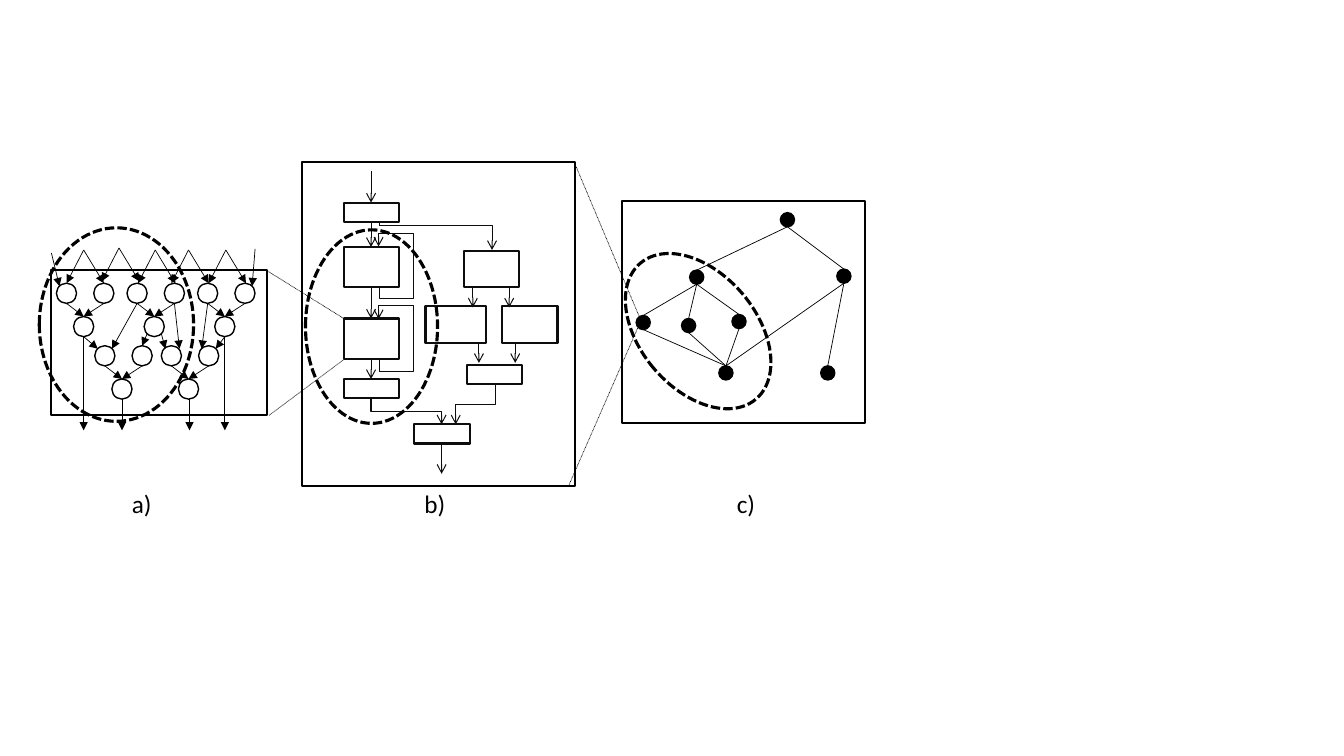
from lxml.etree import SubElement
from pptx import Presentation
from pptx.dml.color import RGBColor
from pptx.enum.dml import MSO_LINE as Dash
from pptx.enum.shapes import MSO_CONNECTOR as Link, MSO_SHAPE as Form
from pptx.enum.text import MSO_AUTO_SIZE as Fit
from pptx.oxml.ns import qn
from pptx.util import Cm, Pt

BLACK, DARK = "000000", "0D0D0D"


def cm(inch):
    """Turn inches into a Cm length."""
    return Cm(inch * 2.54)


def ink(code):
    """Turn a hex string into a colour."""
    return RGBColor.from_string(code)


def shape(host, box, kind, x, y, w, h, width=1.5, line=BLACK, fill=None, dash=None, turn=0):
    """Add an outlined shape at an offset within the box."""
    item = host.add_shape(kind, cm(box[0] + x), cm(box[1] + y), cm(w), cm(h))
    item.shadow.inherit = False
    item.rotation = turn
    if fill:
        item.fill.solid()
        item.fill.fore_color.rgb = ink(fill)
    else:
        item.fill.background()
    item.line.color.rgb = ink(line)
    item.line.width = Pt(width)
    if dash:
        item.line.dash_style = dash


def line(host, box, x1, y1, x2, y2, width=0.5, color=BLACK, head=None, dash=None, kind=Link.STRAIGHT):
    """Add a connector between two offsets within the box."""
    left, top = box[:2]
    item = host.add_connector(kind, cm(left + x1), cm(top + y1), cm(left + x2), cm(top + y2))
    item.line.color.rgb = ink(color)
    item.line.width = Pt(width)
    if dash:
        item.line.dash_style = dash
    if head:
        SubElement(item.line._get_or_add_ln(), qn("a:tailEnd"), type=head)
    SubElement(item._element.spPr, qn("a:effectLst"))
    return item


def bend(host, box, x, y, w, h, parts, turn=0, flip=False, adjust=()):
    """Add an elbow arrow with the given number of parts."""
    item = line(host, box, x, y, x + w, y + h, 0.75, DARK, "arrow", kind=Link.ELBOW)
    props = item._element.spPr
    frame = props.find(qn("a:xfrm"))
    frame.set("rot", str(turn * 60000))
    if flip:
        frame.set("flipH", "1")
    geom = props.find(qn("a:prstGeom"))
    geom.set("prst", f"bentConnector{parts}")
    guides = geom.find(qn("a:avLst"))
    for n, value in enumerate(adjust, 1):
        SubElement(guides, qn("a:gd"), name=f"adj{n}", fmla=f"val {round(value * 100000)}")


def text(host, words, x, y, w, h, font="Calibri", size=18, color=BLACK):
    """Add a one-line text box."""
    item = host.add_textbox(cm(x), cm(y), cm(w), cm(h))
    frame = item.text_frame
    frame.word_wrap = False
    frame.auto_size = Fit.SHAPE_TO_FIT_TEXT
    run = frame.paragraphs[0].add_run()
    run.text = words
    run.font.name, run.font.size = font, Pt(size)
    run.font.color.rgb = ink(color)


def ring(host, box, x, y, w, h, turn=0):
    """Add a dashed ellipse around a part of a panel."""
    shape(host, box, Form.OVAL, x, y, w, h, 2.25, dash=Dash.SQUARE_DOT, turn=turn)


def merge(host, box, x, y):
    """Group two nodes that feed a third one below."""
    group = host.add_group_shape().shapes
    for dx, dy in ((0, 0), (0.17, 0.33), (0.37, 0)):
        shape(group, box, Form.OVAL, x + dx, y + dy, 0.2, 0.2, 1)
    for dx in (0.1, 0.47):
        line(group, box, x + dx, y + 0.2, x + 0.27, y + 0.33, head="triangle")


def flow(host, box):
    """Draw panel a, the data flow of small nodes."""
    shape(host, box, Form.RECTANGLE, 0, 0, *box[2:])
    for x, y in ((0.05, 0.13), (0.75, 0.13), (1.45, 0.13), (0.43, 0.75), (1.09, 0.75)):
        merge(host, box, x, y)
    inner = [(0.85, 0.33, 0.6, 0.78), (0.32, 0.66, 0.46, 0.78), (1.22, 0.33, 1.27, 0.78),
             (0.95, 0.63, 0.9, 0.75), (1.09, 0.63, 1.13, 0.78), (1.55, 0.33, 1.49, 0.78),
             (1.72, 0.66, 1.63, 0.78)]
    peaks = [(x, y, x + dx, y + 0.33)
             for x, y in ((0.32, -0.2), (0.67, -0.22), (1.03, -0.2), (1.36, -0.2), (1.73, -0.2))
             for dx in (-0.17, 0.2)]
    sides = [(0, -0.17, 0.08, 0.16), (2.02, -0.21, 1.99, 0.16)]
    exits = [(x, y, x, 1.59) for x, y in ((0.32, 0.66), (1.72, 0.66), (0.7, 1.28), (1.37, 1.28))]
    for ends in inner + peaks + sides + exits:
        line(host, box, *ends, head="triangle")
    ring(host, box, -0.12, -0.42, 1.53, 1.92)


def blocks(host, box):
    """Draw panel b, the control flow of blocks."""
    shape(host, box, Form.RECTANGLE, 0, 0, *box[2:])
    for x, y, w, h in ((0.41, 0.4, 0.55, 0.19), (0.41, 0.84, 0.55, 0.4), (0.41, 1.55, 0.55, 0.4),
                       (0.41, 2.15, 0.55, 0.19), (1.6, 0.88, 0.55, 0.36), (1.22, 1.43, 0.6, 0.36),
                       (1.98, 1.43, 0.55, 0.36), (1.11, 2.6, 0.55, 0.19), (1.63, 2.01, 0.55, 0.19)):
        shape(host, box, Form.RECTANGLE, x, y, w, h, line=DARK)
    for x, top, end in ((0.68, 0.09, 0.4), (0.68, 0.59, 0.84), (0.68, 1.23, 1.55),
                        (0.68, 1.95, 2.15), (1.69, 1.23, 1.44), (2.05, 1.23, 1.44),
                        (1.75, 1.79, 1.99), (2.11, 1.79, 1.99), (1.38, 2.79, 3.09)):
        line(host, box, x, top, x, end, 0.75, DARK, "arrow")
    line(host, box, 0.76, 0.59, 0.76, 0.63, 0.75, DARK)
    for y in (1.03, 1.75):
        bend(host, box, 0.56, y, 0.4, 0.01, 5, 90, True, (-0.3, -34, 1.33))
    bend(host, box, 0.76, 0.63, 1.12, 0.24, 2)
    bend(host, box, 0.9, 2.12, 0.26, 0.7, 3, 270, True, (0.5,))
    bend(host, box, 1.52, 2.21, 0.39, 0.39, 3, 90, False, (0.5,))
    ring(host, box, 0.03, 0.67, 1.31, 1.92)


def graph(host, box):
    """Draw panel c, the graph of solid nodes."""
    shape(host, box, Form.RECTANGLE, 0, 0, *box[2:])
    ring(host, box, 0.18, 0.41, 1.15, 1.77, 319.6)
    group = host.add_group_shape().shapes
    nodes = {"top": (1.64, 0.19), "hub": (0.74, 0.76), "left": (0.21, 1.21),
             "mid": (0.66, 1.24), "right": (1.16, 1.2), "base": (1.03, 1.71),
             "side": (2.2, 0.75), "end": (2.04, 1.71)}
    for x, y in nodes.values():
        shape(group, box, Form.OVAL, x - 0.07, y - 0.07, 0.14, 0.14, 1, fill=BLACK)
    edges = {"top": ("hub", "side"), "hub": ("left", "mid", "right"), "left": ("base",),
             "mid": ("base",), "right": ("base",), "side": ("base", "end")}
    for start, ends in edges.items():
        for end in ends:
            (x1, y1), (x2, y2) = nodes[start], nodes[end]
            line(group, box, x1, y1 + 0.07, x2, y2 - 0.07)


def zooms(host, box):
    """Draw the dotted lines that join the panels."""
    for ends in ((2.64, 2.68, 3.41, 3.16), (2.67, 4.12, 3.42, 3.56),
                 (5.7, 1.62, 6.34, 3.14), (5.64, 4.82, 6.34, 3.22)):
        line(host, box, *ends, dash=Dash.ROUND_DOT)


deck = Presentation()
deck.slide_width, deck.slide_height = cm(13.33), cm(7.5)
page = deck.slides.add_slide(deck.slide_layouts[6]).shapes
flow(page, (0.51, 2.68, 2.14, 1.44))
blocks(page, (3, 1.61, 2.7, 3.21))
graph(page, (6.17, 1.99, 2.41, 2.21))
zooms(page, (0, 0, 13.33, 7.5))
for words, x, w in (("a)", 1.21, 0.4), ("b)", 4.11, 0.42), ("c)", 7.21, 0.4)):
    text(page, words, x, 4.8, w, 0.4)
deck.save("out.pptx")
